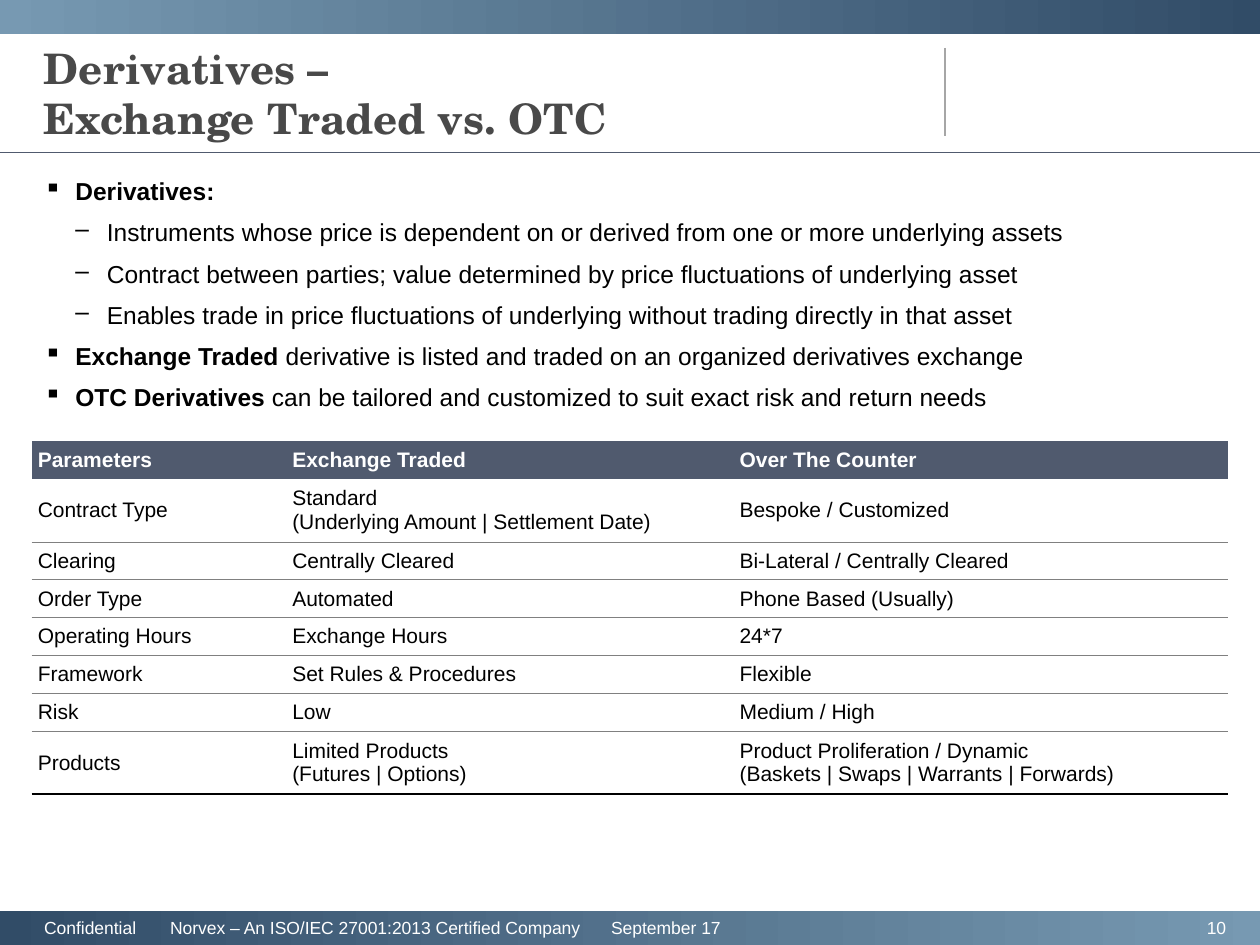
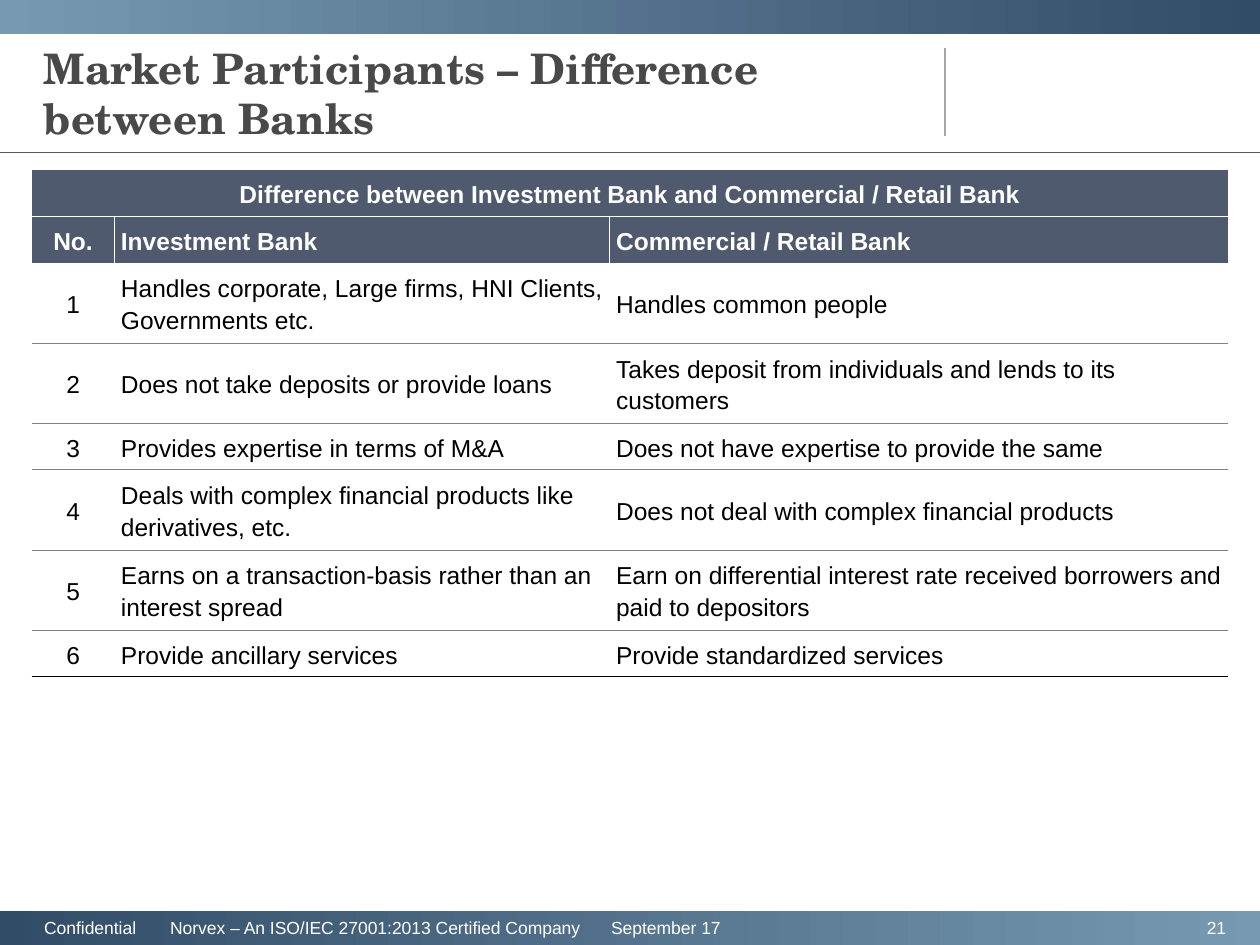
"""Build two training slides on derivatives and on types of bank."""
from lxml.etree import SubElement
from pptx import Presentation
from pptx.dml.color import RGBColor
from pptx.enum.shapes import MSO_CONNECTOR, MSO_SHAPE
from pptx.enum.text import MSO_ANCHOR, PP_ALIGN
from pptx.oxml.ns import qn
from pptx.util import Inches, Pt

COLOURS = {
    "dark_blue": "314C67", "light_blue": "7799B2", "slate": "505A6E",
    "title": "494949", "divider": "A6A6A6", "grid": "808080",
    "white": "FFFFFF", "black": "000000",
}
TITLE = {"name": "TeX Gyre Schola", "size": Pt(24), "bold": True}
FOOTER = {"name": "Arial", "size": Pt(10)}
BODY = {"name": "Arial", "size": Pt(14)}
NO_GRID_STYLE = "{2D5ABB26-0587-4C30-8999-92F81FD0307C}"
FOOTER_TEXT = "Confidential\tNorvex – An ISO/IEC 27001:2013 Certified Company\tSeptember 17"
FOOTER_TABS = [1.0, 4.5]
BANDS = [(-0.03, 0.3, "light_blue", "dark_blue"), (7.23, 0.29, "dark_blue", "light_blue")]
RULES = [(7.5, 0.38, 7.5, 1.08, "divider", 0.75), (-0.01, 1.21, 10, 1.21, "slate", 0.5)]
BULLETS = [(0.25, "▪"), (0.5, "–")]

PAGES = [
    {
        "title": "Derivatives –\nExchange Traded vs. OTC",
        "number": "10",
        "points": [
            (0, "Derivatives:", ""),
            (1, "", "Instruments whose price is dependent on or derived from one or more underlying assets"),
            (1, "", "Contract between parties; value determined by price fluctuations of underlying asset"),
            (1, "", "Enables trade in price fluctuations of underlying without trading directly in that asset"),
            (0, "Exchange Traded ", "derivative is listed and traded on an organized derivatives exchange"),
            (0, "OTC Derivatives ", "can be tailored and customized to suit exact risk and return needs"),
        ],
        "top": 3.5, "columns": [2.02, 3.55, 3.93], "headers": 1, "centred": 0,
        "size": 12, "spacing": 1.0, "short": 0.28, "tall": 0.47, "tall_rows": [1, 7],
        "rows": [
            ["Parameters", "Exchange Traded", "Over The Counter"],
            ["Contract Type", "Standard\n(Underlying Amount | Settlement Date)", "Bespoke / Customized"],
            ["Clearing", "Centrally Cleared", "Bi-Lateral / Centrally Cleared"],
            ["Order Type", "Automated", "Phone Based (Usually)"],
            ["Operating Hours", "Exchange Hours", "24*7"],
            ["Framework", "Set Rules & Procedures", "Flexible"],
            ["Risk", "Low", "Medium / High"],
            ["Products", "Limited Products\n(Futures | Options)",
             "Product Proliferation / Dynamic\n(Baskets | Swaps | Warrants | Forwards)"],
        ],
    },
    {
        "title": "Market Participants – Difference between Banks",
        "number": "21",
        "points": [],
        "top": 1.35, "columns": [0.66, 3.93, 4.91], "headers": 2, "centred": 1,
        "size": 14, "spacing": 1.15, "short": 0.35, "tall": 0.6, "tall_rows": [2, 3, 5, 6],
        "rows": [
            ["Difference between Investment Bank and Commercial / Retail Bank"],
            ["No.", "Investment Bank", "Commercial / Retail Bank"],
            ["1", "Handles corporate, Large firms, HNI Clients, Governments etc.", "Handles common people"],
            ["2", "Does not take deposits or provide loans",
             "Takes deposit from individuals and lends to its customers"],
            ["3", "Provides expertise in terms of M&A", "Does not have expertise to provide the same"],
            ["4", "Deals with complex financial products like derivatives, etc.",
             "Does not deal with complex financial products"],
            ["5", "Earns on a transaction-basis rather than an interest spread",
             "Earn on differential interest rate received borrowers and paid to depositors"],
            ["6", "Provide ancillary services", "Provide standardized services"],
        ],
    },
]


def style_font(font, look, colour):
    for name, value in look.items():
        setattr(font, name, value)
    font.color.rgb = RGBColor.from_string(COLOURS[colour])


def add_box(page, left, top, width, height, anchor=MSO_ANCHOR.MIDDLE):
    frame = page.shapes.add_textbox(Inches(left), Inches(top), Inches(width), Inches(height)).text_frame
    frame.word_wrap = True
    frame.vertical_anchor = anchor
    return frame


deck = Presentation()
deck.slide_width, deck.slide_height = Inches(10), Inches(7.5)

for content in PAGES:
    page = deck.slides.add_slide(deck.slide_layouts[6])

    for top, height, start, end in BANDS:
        band = page.shapes.add_shape(MSO_SHAPE.RECTANGLE, Inches(-0.01), Inches(top), Inches(10.05), Inches(height))
        band.shadow.inherit = False
        band.line.fill.background()
        band.fill.gradient()
        band.fill.gradient_angle = 0
        for stop, colour in zip(band.fill.gradient_stops, (start, end)):
            stop.color.rgb = RGBColor.from_string(COLOURS[colour])

    for left, top, right, bottom, colour, weight in RULES:
        rule = page.shapes.add_connector(
            MSO_CONNECTOR.STRAIGHT, Inches(left), Inches(top), Inches(right), Inches(bottom))
        rule.line.color.rgb = RGBColor.from_string(COLOURS[colour])
        rule.line.width = Pt(weight)
        SubElement(rule._element.spPr, qn("a:effectLst"))

    para = add_box(page, 9, 7.23, 0.83, 0.27).paragraphs[0]
    para.text = content["number"]
    para.alignment = PP_ALIGN.RIGHT
    style_font(para.runs[0].font, FOOTER, "white")

    frame = add_box(page, 0.35, 7.23, 8.65, 0.27)
    frame.margin_left = frame.margin_right = frame.margin_top = frame.margin_bottom = 0
    para = frame.paragraphs[0]
    tabs = SubElement(para._p.get_or_add_pPr(), qn("a:tabLst"))
    for position in FOOTER_TABS:
        SubElement(tabs, qn("a:tab"), pos=str(Inches(position)), algn="l")
    span = para.add_run()
    span.text = FOOTER_TEXT
    style_font(span.font, FOOTER, "white")

    para = add_box(page, 0.25, 0.3, 6.98, 0.87).paragraphs[0]
    para.text = content["title"]
    for span in para.runs:
        style_font(span.font, TITLE, "title")

    if content["points"]:
        frame = add_box(page, 0.25, 1.35, 9.5, 2.04, MSO_ANCHOR.TOP)
        for index, (level, lead, rest) in enumerate(content["points"]):
            para = frame.add_paragraph() if index else frame.paragraphs[0]
            para.level = level
            para.space_after = Pt(6.75)
            indent, bullet = BULLETS[level]
            properties = para._p.get_or_add_pPr()
            properties.set("marL", str(Inches(indent)))
            properties.set("indent", str(Inches(-0.25)))
            SubElement(properties, qn("a:buChar"), char=bullet)
            for words, bold in ((lead, True), (rest, False)):
                if words:
                    span = para.add_run()
                    span.text = words
                    style_font(span.font, {**BODY, "bold": bold}, "black")

    rows, columns, headers = content["rows"], content["columns"], content["headers"]
    last_row = len(rows) - 1
    heights = [content["tall"] if index in content["tall_rows"] else content["short"] for index in range(len(rows))]
    table = page.shapes.add_table(
        len(rows), len(columns), Inches(0.25), Inches(content["top"]), Inches(9.5), Inches(sum(heights))).table
    table.horz_banding = False
    table._tbl.tblPr.find(qn("a:tableStyleId")).text = NO_GRID_STYLE
    for column, width in zip(table.columns, columns):
        column.width = Inches(width)

    for row_index, row in enumerate(rows):
        table.rows[row_index].height = Inches(heights[row_index])
        is_header = row_index < headers
        if len(row) == 1:
            table.cell(row_index, 0).merge(table.cell(row_index, len(columns) - 1))
        for column_index in range(len(columns)):
            cell = table.cell(row_index, column_index)
            cell.vertical_anchor = MSO_ANCHOR.MIDDLE
            cell.margin_left = cell.margin_right = cell.margin_top = cell.margin_bottom = Inches(0.05)

            edges = []
            if is_header and row_index == 1:
                if column_index > 0:
                    edges.append(("a:lnL", "white", 0.5))
                if column_index < len(columns) - 1:
                    edges.append(("a:lnR", "white", 0.5))
            if row_index < headers - 1:
                edges.append(("a:lnB", "white", 0.5))
            elif row_index == last_row:
                edges.append(("a:lnB", "black", 1))
            elif not is_header:
                edges.append(("a:lnB", "grid", 0.5))
            for tag, colour, weight in edges:
                edge = SubElement(cell._tc.get_or_add_tcPr(), qn(tag), w=str(Pt(weight)))
                SubElement(SubElement(edge, qn("a:solidFill")), qn("a:srgbClr"), val=COLOURS[colour])

            if is_header:
                cell.fill.solid()
                cell.fill.fore_color.rgb = RGBColor.from_string(COLOURS["slate"])
            else:
                cell.fill.background()

            if column_index < len(row):
                cell.text_frame.text = row[column_index]
                look = {"name": "Arial", "size": Pt(content["size"]), "bold": is_header}
                for para in cell.text_frame.paragraphs:
                    para.line_spacing = content["spacing"]
                    if column_index < content["centred"]:
                        para.alignment = PP_ALIGN.CENTER
                    style_font(para.runs[0].font, look, "white" if is_header else "black")

deck.save("out.pptx")
